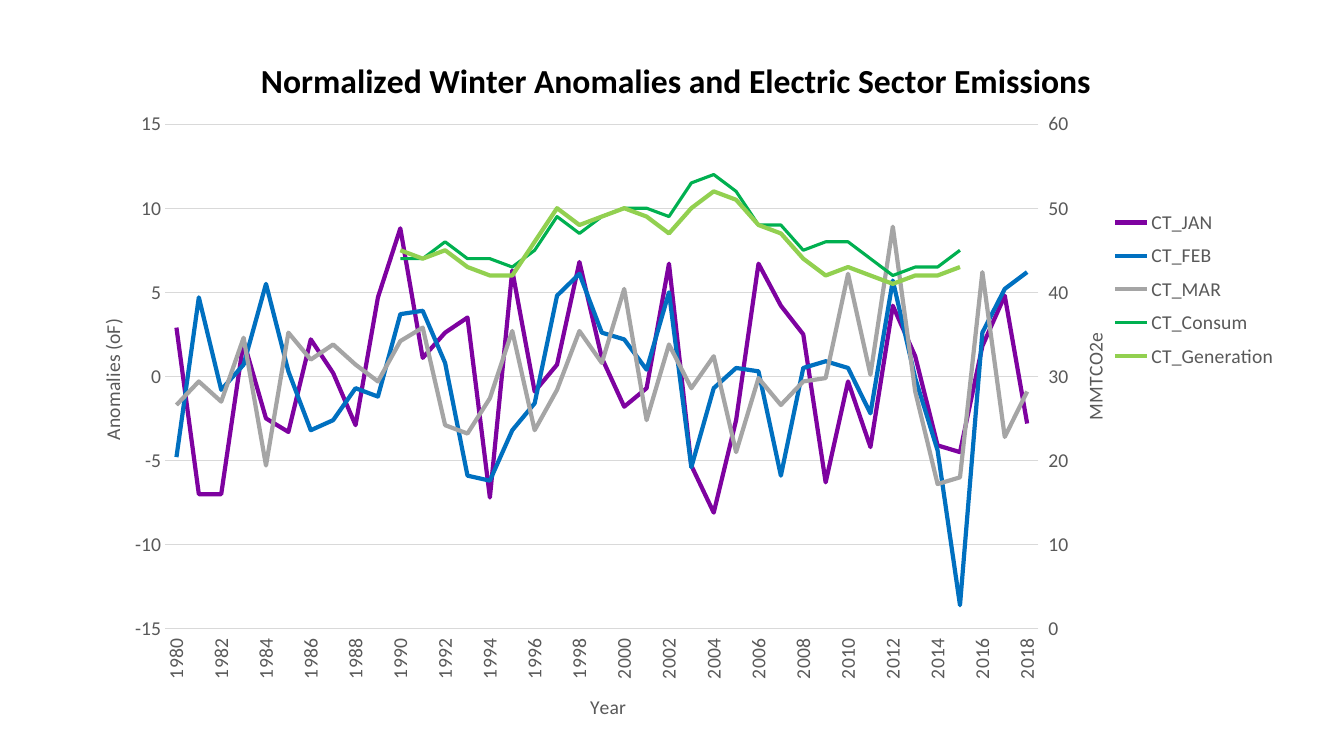
"""Build a slide with a two-axis line chart of winter anomalies and emissions."""
from copy import deepcopy

from pptx import Presentation
from pptx.chart.axis import ValueAxis
from pptx.chart.data import CategoryChartData
from pptx.dml.color import RGBColor
from pptx.enum.chart import (XL_CHART_TYPE as ChartType, XL_LEGEND_POSITION as LegendPos,
                             XL_TICK_LABEL_POSITION as LabelPos, XL_TICK_MARK as TickMark)
from pptx.oxml import parse_xml
from pptx.oxml.ns import nsdecls, qn
from pptx.util import Inches, Pt

FONT = "Calibri"
COLORS = {"title": "000000", "text": "595959", "grid": "D9D9D9", "CT_JAN": "7E02A0",
          "CT_FEB": "0070C0", "CT_MAR": "A5A5A5", "CT_Consum": "00B050",
          "CT_Generation": "92D050"}
TITLES = {
    "chart": ("Normalized Winter Anomalies and Electric Sector Emissions", (0.16, 0.03)),
    "years": ("Year", (0.43, 0.95)),
    "left": ("Anomalies (oF)", (0.03, 0.41)),
    "right": ("MMTCO2e", (0.83, 0.43)),
}
YEARS = range(1980, 2019)
EMISSIONS_START = 1990
ANOMALIES = {
    "CT_JAN": [2.9, -7, -7, 2.1, -2.5, -3.3, 2.2, 0.2, -2.9, 4.7, 8.8, 1.1, 2.6,
               3.5, -7.2, 6.3, -0.9, 0.7, 6.8, 1.1, -1.8, -0.7, 6.7, -5.3, -8.1, -2.6,
               6.7, 4.2, 2.5, -6.3, -0.3, -4.2, 4.2, 1.2, -4.1, -4.5, 1.8, 4.8, -2.8],
    "CT_FEB": [-4.8, 4.7, -0.8, 0.7, 5.5, 0.3, -3.2, -2.6, -0.7, -1.2, 3.7, 3.9, 0.8,
               -5.9, -6.2, -3.2, -1.6, 4.8, 6.1, 2.6, 2.2, 0.4, 5, -5.4, -0.7, 0.5,
               0.3, -5.9, 0.5, 0.9, 0.5, -2.2, 5.7, -0.1, -4.4, -13.6, 2.6, 5.2, 6.2],
    "CT_MAR": [-1.7, -0.3, -1.5, 2.3, -5.3, 2.6, 1, 1.9, 0.7, -0.3, 2.1, 2.9, -2.9,
               -3.4, -1.3, 2.7, -3.2, -0.8, 2.7, 0.8, 5.2, -2.6, 1.9, -0.7, 1.2, -4.5,
               -0.1, -1.7, -0.3, -0.1, 6.1, 0.1, 8.9, -0.9, -6.4, -6, 6.2, -3.6, -0.9],
}
EMISSIONS = {
    "CT_Consum": [44, 44, 46, 44, 44, 43, 45, 49, 47, 49, 50, 50, 49,
                  53, 54, 52, 48, 48, 45, 46, 46, 44, 42, 43, 43, 45],
    "CT_Generation": [45, 44, 45, 43, 42, 42, 46, 50, 48, 49, 50, 49, 47,
                      50, 52, 51, 48, 47, 44, 42, 43, 42, 41, 42, 42, 43],
}
CHART_BOX = (0.58, 0.31, 12.18, 6.89)
PLOT_BOX = (0.087, 0.134, 0.711, 0.728)
LEGEND_BOX = (0.855, 0.245, 0.14, 0.255)
UPRIGHT = "-5400000"


def rgb(name):
    return RGBColor.from_string(COLORS[name])


def style_font(font, size=14, color="text", bold=False):
    font.name, font.size, font.bold = FONT, Pt(size), bold
    font.color.rgb = rgb(color)


def place(parent, box, after=None, target=""):
    for old in parent.findall(qn("c:layout")):
        parent.remove(old)
    modes = "".join(f'<c:{k}Mode val="edge"/>' for k in "xy")
    sizes = "".join(f'<c:{k} val="{v}"/>' for k, v in zip("xywh", box))
    layout = parse_xml(f'<c:layout {nsdecls("c")}><c:manualLayout>{target}{modes}{sizes}'
                       '</c:manualLayout></c:layout>')
    if after is None:
        parent.insert(0, layout)
    else:
        after.addnext(layout)


def write_title(title, key, **style):
    text, spot = TITLES[key]
    r = title.text_frame.paragraphs[0].add_run()
    r.text = text
    style_font(r.font, **style)
    place(title._element, spot, title._element.find(qn("c:tx")))


def set_val(parent, tag, val):
    parent.find(qn(tag)).set("val", val)


def style_value_axis(axis, key, low, high, step, tick):
    axis.minimum_scale, axis.maximum_scale, axis.major_unit = low, high, step
    axis.major_tick_mark, axis.minor_tick_mark = tick, TickMark.NONE
    axis.format.line.fill.background()
    style_font(axis.tick_labels.font)
    write_title(axis.axis_title, key)
    axis.axis_title.text_frame._txBody.find(qn("a:bodyPr")).set("rot", UPRIGHT)


def add_right_axis(chart):
    plot_area = chart._chartSpace.chart.plotArea
    left_plot = plot_area.find(qn("c:lineChart"))
    cat, val = (plot_area.find(qn(tag)) for tag in ("c:catAx", "c:valAx"))
    for old in val.findall(qn("c:crossBetween")):
        val.remove(old)
    val.find(qn("c:crosses")).addnext(
        parse_xml(f'<c:crossBetween {nsdecls("c")} val="between"/>'))
    right_plot, right_cat, right_val = map(deepcopy, (left_plot, cat, val))
    for plot, drop in ((left_plot, slice(len(ANOMALIES), None)),
                       (right_plot, slice(len(ANOMALIES)))):
        for ser in plot.findall(qn("c:ser"))[drop]:
            plot.remove(ser)
    left_plot.addnext(right_plot)
    val.addnext(right_val)
    right_val.addnext(right_cat)
    cat_id, val_id = "5001", "5002"
    for ref, new in zip(right_plot.findall(qn("c:axId")), (cat_id, val_id)):
        ref.set("val", new)
    for ax, own, other in ((right_cat, cat_id, val_id), (right_val, val_id, cat_id)):
        set_val(ax, "c:axId", own)
        set_val(ax, "c:crossAx", other)
    set_val(right_cat, "c:delete", "1")
    set_val(right_val, "c:axPos", "r")
    set_val(right_val, "c:crosses", "max")
    return ValueAxis(right_val)


def main():
    prs = Presentation()
    prs.slide_width, prs.slide_height = Inches(13.33), Inches(7.5)
    slide = prs.slides.add_slide(prs.slide_layouts[6])

    data = CategoryChartData()
    data.categories = [str(year) for year in YEARS]
    lead = [None] * (EMISSIONS_START - YEARS[0])
    for name, vals in ANOMALIES.items():
        data.add_series(name, vals)
    for name, vals in EMISSIONS.items():
        tail = [None] * (len(YEARS) - len(lead) - len(vals))
        data.add_series(name, lead + vals + tail)
    chart = slide.shapes.add_chart(ChartType.LINE, *map(Inches, CHART_BOX), data).chart
    style_font(chart.font)
    write_title(chart.chart_title, "chart", size=24, color="title", bold=True)
    chart.chart_title.include_in_layout = False

    left_axis, years = chart.value_axis, chart.category_axis
    right_axis = add_right_axis(chart)
    left_axis.has_major_gridlines, right_axis.has_major_gridlines = True, False
    style_value_axis(left_axis, "left", -15, 15, 5, TickMark.NONE)
    style_value_axis(right_axis, "right", 0, 60, 10, TickMark.OUTSIDE)

    years.major_tick_mark = years.minor_tick_mark = TickMark.NONE
    years.tick_label_position = LabelPos.LOW
    style_font(years.tick_labels.font)
    write_title(years.axis_title, "years")
    cat = years._element
    cat.find(qn("c:txPr")).find(qn("a:bodyPr")).set("rot", UPRIGHT)
    cat.find(qn("c:noMultiLvlLbl")).addprevious(
        parse_xml(f'<c:tickLblSkip {nsdecls("c")} val="2"/>'))
    for line in (left_axis.major_gridlines.format.line, years.format.line):
        line.color.rgb, line.width = rgb("grid"), Pt(0.75)

    for plot in chart.plots:
        plot.vary_by_categories = False
        for ser in plot.series:
            ser.smooth = False
            line = ser.format.line
            line.color.rgb = rgb(ser.name)
            line.width = Pt(2.25 if ser.name == "CT_Consum" else 3)

    chart.has_legend = True
    legend = chart.legend
    legend.position, legend.include_in_layout = LegendPos.RIGHT, False
    style_font(legend.font)
    place(legend._element, LEGEND_BOX, legend._element.find(qn("c:legendPos")))
    place(chart._chartSpace.chart.plotArea, PLOT_BOX,
          target='<c:layoutTarget val="inner"/>')
    prs.save("out.pptx")


if __name__ == "__main__":
    main()
